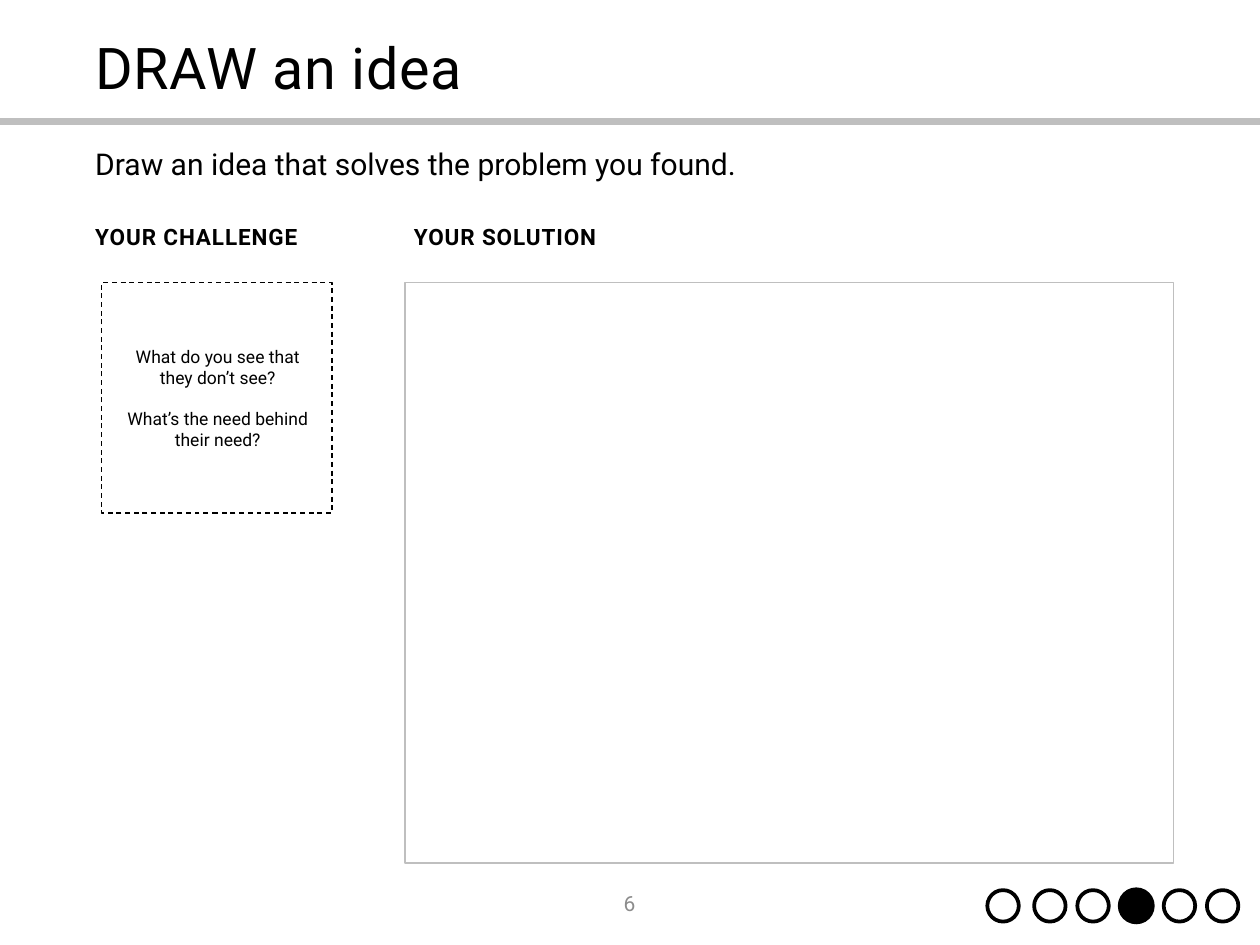
from dataclasses import dataclass

from lxml.etree import SubElement
from pptx import Presentation
from pptx.dml.color import RGBColor
from pptx.enum.dml import MSO_LINE_DASH_STYLE as Dash
from pptx.enum.shapes import MSO_CONNECTOR as Connector, MSO_SHAPE as Preset
from pptx.enum.text import MSO_ANCHOR as Anchor, PP_ALIGN as Align
from pptx.oxml.ns import qn
from pptx.util import Inches, Length, Pt

COLORS = {"ink": "000000", "paper": "FFFFFF", "rule": "BFBFBF", "number": "8C8C8C"}
FONT = "Roboto"
COLUMNS, ROWS = 28, 21
WIDTH, HEIGHT = Inches(14), Inches(10.5)
MARGIN = 1.92
SOLUTION_LEFT = 9
BOX_TOP = 6.28
DOT_ROW = 20.13
DOT_STEP = 0.96
FIRST_DOT = 22.29
DOT_COLUMNS = [FIRST_DOT] + [23.33 + DOT_STEP * step for step in range(5)]
CURRENT_DOT = 3


@dataclass
class Area:
    column: float
    row: float
    columns: float
    rows: float

    def lengths(self) -> tuple[Length, Length, Length, Length]:
        return (across(self.column), down(self.row),
                across(self.columns), down(self.rows))


@dataclass
class Label:
    area: Area
    lines: list[str]
    size: float
    color: str = "ink"
    bold: bool = False
    spacing: int = 0
    line_spacing: float = 1.0
    align: Align = Align.LEFT
    anchor: Anchor = Anchor.TOP
    gap_before: int | None = None


@dataclass
class Outline:
    area: Area
    preset: Preset = Preset.RECTANGLE
    fill: str | None = None
    line: str | None = "ink"
    weight: float = 1
    dash: Dash | None = None


def across(columns: float) -> Length:
    return Length(round(WIDTH * columns / COLUMNS))


def down(rows: float) -> Length:
    return Length(round(HEIGHT * rows / ROWS))


def color(name: str) -> RGBColor:
    return RGBColor.from_string(COLORS[name])


def draw_rule(slide, row: float) -> None:
    rule = slide.shapes.add_connector(
        Connector.STRAIGHT, across(-0.44), down(row), across(29.56), down(row))
    rule.line.color.rgb = color("rule")
    rule.line.width = Pt(5.25)
    SubElement(rule._element.spPr, qn("a:effectLst"))


def draw_outline(slide, outline: Outline) -> None:
    shape = slide.shapes.add_shape(outline.preset, *outline.area.lengths())
    shape.shadow.inherit = False
    if outline.fill:
        shape.fill.solid()
        shape.fill.fore_color.rgb = color(outline.fill)
    else:
        shape.fill.background()
    if outline.line:
        shape.line.color.rgb = color(outline.line)
        shape.line.width = Pt(outline.weight)
        if outline.dash:
            shape.line.dash_style = outline.dash
    else:
        shape.line.fill.background()


def draw_label(slide, label: Label) -> None:
    frame = slide.shapes.add_textbox(*label.area.lengths()).text_frame
    frame.word_wrap = True
    frame.vertical_anchor = label.anchor
    frame.text = "\n".join(label.lines)
    for index, paragraph in enumerate(frame.paragraphs):
        paragraph.alignment = label.align
        paragraph.line_spacing = label.line_spacing
        if index == label.gap_before:
            paragraph.space_before = Pt(label.size * 1.17)
        for run in paragraph.runs:
            run.font.name = FONT
            run.font.size = Pt(label.size)
            run.font.bold = label.bold
            run.font.color.rgb = color(label.color)
            if label.spacing:
                run._r.get_or_add_rPr().set("spc", str(label.spacing))


def draw_dot(slide, column: float, current: bool) -> None:
    size = 0.82 if current else 0.7
    area = Area(column - size / 2, DOT_ROW - size / 2, size, size)
    if current:
        draw_outline(slide, Outline(area, Preset.OVAL, "ink", None))
    else:
        draw_outline(slide, Outline(area, Preset.OVAL, "paper", "ink", 3))


def heading(column: float, text: str) -> Label:
    return Label(Area(column, 4.8, 6.08, 0.86), [text], 18,
                 bold=True, spacing=70, line_spacing=1.1)


OUTLINES = [
    Outline(Area(SOLUTION_LEFT, BOX_TOP, 17.08, 12.9), line="rule"),
    Outline(Area(2.26, BOX_TOP, 5.12, 5.12), dash=Dash.DASH),
]

LABELS = [
    Label(Area(MARGIN, 0.32, 24.14, 2.52), ["DRAW an idea"], 46,
          spacing=60, line_spacing=0.9, anchor=Anchor.MIDDLE),
    Label(Area(MARGIN, 3.22, 24.14, 3.48),
          ["Draw an idea that solves the problem you found."], 24, line_spacing=0.9),
    Label(Area(10.84, 19.52, 6.3, 1.12), ["6"], 16.8, "number",
          align=Align.CENTER, anchor=Anchor.MIDDLE),
    Label(Area(2.28, 7.58, 5.12, 2.56),
          ["What do you see that", "they don’t see?",
           "What’s the need behind their need?"],
          14, align=Align.CENTER, gap_before=2),
    heading(MARGIN, "YOUR CHALLENGE"),
    heading(SOLUTION_LEFT, "YOUR SOLUTION"),
]


def main() -> None:
    presentation = Presentation()
    presentation.slide_width, presentation.slide_height = WIDTH, HEIGHT
    slide = presentation.slides.add_slide(presentation.slide_layouts[6])
    draw_rule(slide, 2.7)
    for outline in OUTLINES:
        draw_outline(slide, outline)
    for label in LABELS:
        draw_label(slide, label)
    for index, column in enumerate(DOT_COLUMNS):
        draw_dot(slide, column, index == CURRENT_DOT)
    presentation.save("out.pptx")


if __name__ == "__main__":
    main()
